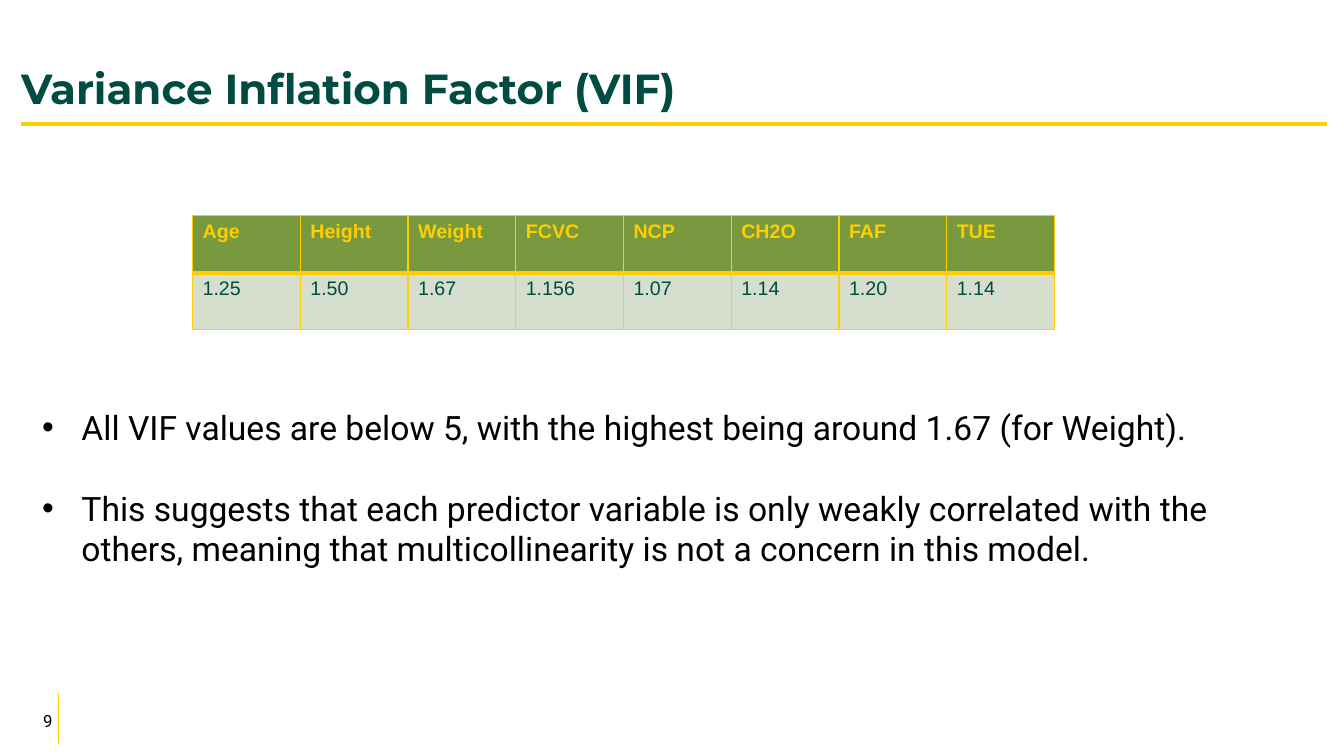
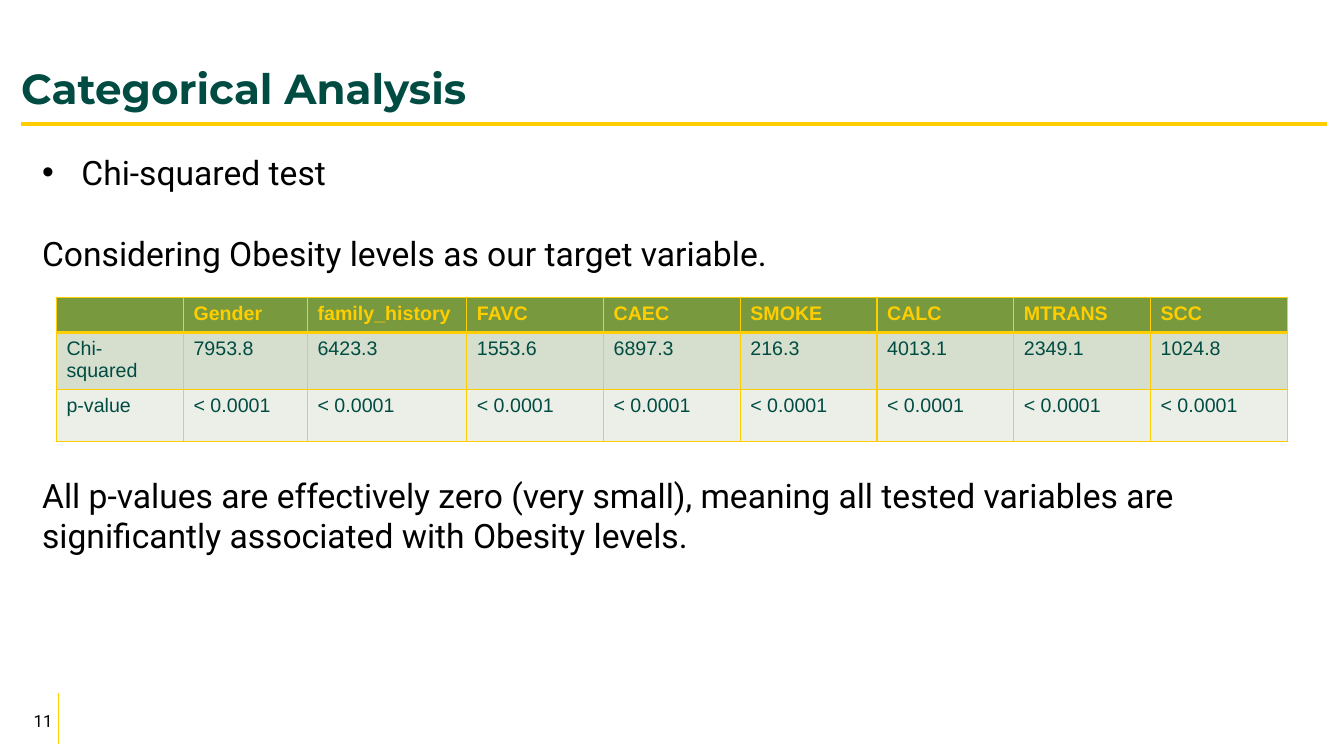
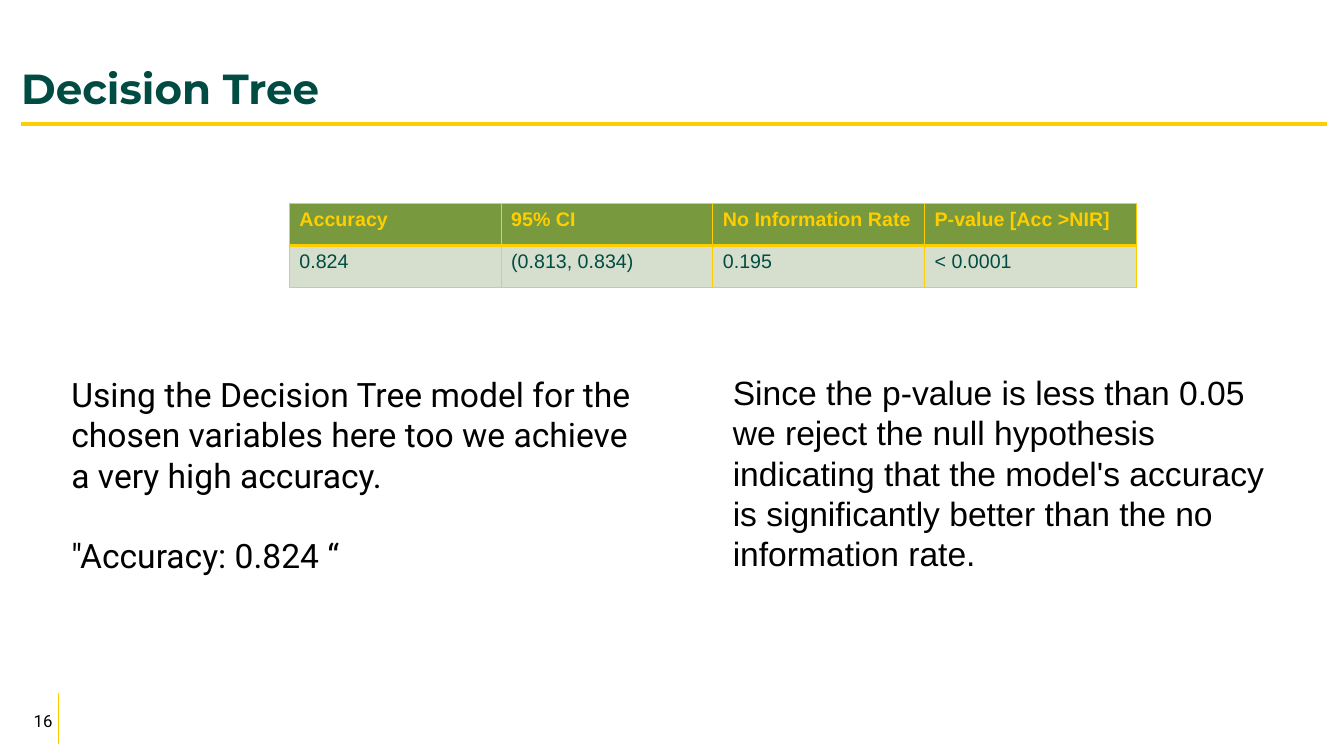
from lxml.etree import SubElement
from pptx import Presentation
from pptx.dml.color import RGBColor
from pptx.enum.shapes import MSO_CONNECTOR
from pptx.enum.text import MSO_ANCHOR, PP_ALIGN
from pptx.oxml.ns import qn
from pptx.util import Inches, Pt

# Shared look
GOLD, GREEN, DARK, BLACK = "FFCE00", "78993D", "004C42", "000000"
BANDS = ("D6DECE", "ECEFE8")
LINE_HEIGHT = 28.8  # points, body text
FLAT, HANGING = (0.11, 0), (0.5, -0.39)  # left margin and first-line indent


def color(hex_text):
    return RGBColor.from_string(hex_text)


def add_run(p, text, size, font, hex_text, bold=False):
    r = p.add_run()
    r.text = text
    r.font.size = Pt(size)
    r.font.name = font
    r.font.bold = bold
    r.font.color.rgb = color(hex_text)


def add_box(s, x, y, w, h, insets, anchor=MSO_ANCHOR.TOP):
    tf = s.shapes.add_textbox(Inches(x), Inches(y), Inches(w), Inches(h)).text_frame
    tf.word_wrap = True
    tf.vertical_anchor = anchor
    tf.margin_left = tf.margin_right = Inches(insets[0])
    tf.margin_top = tf.margin_bottom = Inches(insets[1])
    return tf


def add_rule(s, x1, y1, x2, y2, width):
    line = s.shapes.add_connector(MSO_CONNECTOR.STRAIGHT, Inches(x1), Inches(y1),
                                  Inches(x2), Inches(y2))
    line.line.color.rgb = color(GOLD)
    line.line.width = Pt(width)
    SubElement(line._element.spPr, qn("a:effectLst"))


def add_body(s, x, y, w, h, paragraphs, font="Roboto", top=0):
    """Each paragraph is (text, indent, lines left free above it)."""
    tf = add_box(s, x, y, w, h, (0.1, top))
    for i, (text, (margin, indent), free_lines) in enumerate(paragraphs):
        p = tf.add_paragraph() if i else tf.paragraphs[0]
        p.line_spacing = Pt(LINE_HEIGHT)
        p.space_before = Pt(free_lines * LINE_HEIGHT)
        pPr = p._p.get_or_add_pPr()
        pPr.set("marL", str(Inches(margin)))
        pPr.set("indent", str(Inches(indent)))
        if indent:
            SubElement(pPr, qn("a:buFont"), typeface="Arial")
            SubElement(pPr, qn("a:buChar"), char="•")
        add_run(p, text, 24, font, BLACK)


def set_borders(cell, top, bottom):
    tcPr = cell._tc.get_or_add_tcPr()
    for i, (side, width) in enumerate((("L", 1), ("R", 1), ("T", top), ("B", bottom))):
        ln = SubElement(tcPr, qn("a:ln" + side), w=str(Pt(width)))
        fill = SubElement(ln, qn("a:solidFill"))
        SubElement(fill, qn("a:srgbClr"), val=GOLD)
        tcPr.insert(i, ln)  # borders come before the fill


def add_data_table(s, x, y, widths, heights, rows):
    table = s.shapes.add_table(len(rows), len(widths), Inches(x), Inches(y),
                               Inches(sum(widths)), Inches(sum(heights))).table
    for column, width in zip(table.columns, widths):
        column.width = Inches(width)
    for i, (row, height) in enumerate(zip(rows, heights)):
        table.rows[i].height = Inches(height)
        header = i == 0
        for j, text in enumerate(row):
            cell = table.cell(i, j)
            cell.fill.solid()
            cell.fill.fore_color.rgb = color(GREEN if header else BANDS[(i - 1) % 2])
            set_borders(cell, top=3 if i == 1 else 1, bottom=3 if header else 1)
            p = cell.text_frame.paragraphs[0]
            if text:
                add_run(p, text, 14, "Arial", GOLD if header else DARK, header)
            else:
                SubElement(p._p, qn("a:endParaRPr"), sz="1400")


def add_page(prs, title, number):
    s = prs.slides.add_slide(prs.slide_layouts[6])
    # Footer: page number and its rule
    add_rule(s, 0.58, 6.88, 0.58, 7.38, 0.75)
    p = add_box(s, 0, 6.95, 0.62, 0.4, (0.1, 0.05), MSO_ANCHOR.MIDDLE).paragraphs[0]
    p.alignment = PP_ALIGN.RIGHT
    add_run(p, str(number), 12, "Roboto", BLACK)
    # Title and its rule
    add_rule(s, 0.21, 1.23, 13.16, 1.23, 3)
    p = add_box(s, 0.21, 0, 12.96, 1.13, (0, 0), MSO_ANCHOR.BOTTOM).paragraphs[0]
    p.line_spacing = 0.9
    add_run(p, title, 30, "Montserrat", DARK, True)
    return s


def build_vif(prs):
    s = add_page(prs, "Variance Inflation Factor (VIF)", 9)
    add_body(s, 0.21, 4.04, 12.78, 1.73, [
        ("All VIF values are below 5, with the highest being around 1.67 (for Weight).",
         HANGING, 0),
        ("This suggests that each predictor variable is only weakly correlated with the "
         "others, meaning that multicollinearity is not a concern in this model.",
         HANGING, 1),
    ])
    add_data_table(s, 1.91, 2.14, [8.55 / 8] * 8, [1.13 / 2] * 2, [
        ["Age", "Height", "Weight", "FCVC", "NCP", "CH2O", "FAF", "TUE"],
        ["1.25", "1.50", "1.67", "1.156", "1.07", "1.14", "1.20", "1.14"],
    ])


def build_categorical(prs):
    s = add_page(prs, "Categorical Analysis", 11)
    add_body(s, 0.21, 1.51, 12.96, 5.62, [
        ("Chi-squared test", HANGING, 0),
        ("Considering Obesity levels as our target variable.", FLAT, 1),
        ("All p-values are effectively zero (very small), meaning all tested variables "
         "are significantly associated with Obesity levels.", FLAT, 5),
    ])
    first = [1.26, 1.23, 1.58]
    widths = first + [(12.21 - sum(first)) / 6] * 6
    add_data_table(s, 0.56, 2.95, widths, [0.35, 0.51, 0.51], [
        ["", "Gender", "family_history", "FAVC", "CAEC", "SMOKE", "CALC", "MTRANS", "SCC"],
        ["Chi-squared", "7953.8", "6423.3", "1553.6", "6897.3", "216.3", "4013.1",
         "2349.1", "1024.8"],
        ["p-value"] + ["< 0.0001"] * 8,
    ])


def build_decision_tree(prs):
    s = add_page(prs, "Decision Tree", 16)
    add_body(s, 0.5, 3.71, 6.04, 2.32, [
        ("Using the Decision Tree model for the chosen variables here too we achieve "
         "a very high accuracy.", FLAT, 0),
        ("\"Accuracy: 0.824 “", FLAT, 1),
    ])
    add_data_table(s, 2.87, 2.02, [2.1] * 4, [0.83 / 2] * 2, [
        ["Accuracy", "95% CI", "No Information Rate", "P-value [Acc >NIR]"],
        ["0.824", "(0.813, 0.834)", "0.195", "< 0.0001"],
    ])
    add_body(s, 7.06, 3.64, 5.77, 2.12, [
        ("Since the p-value is less than 0.05 we reject the null hypothesis indicating "
         "that the model's accuracy is significantly better than the no information rate.",
         FLAT, 0),
    ], font="Arial", top=0.05)


def main():
    prs = Presentation()
    prs.slide_width, prs.slide_height = Inches(13.33), Inches(7.5)
    build_vif(prs)
    build_categorical(prs)
    build_decision_tree(prs)
    prs.save("out.pptx")


if __name__ == "__main__":
    main()
